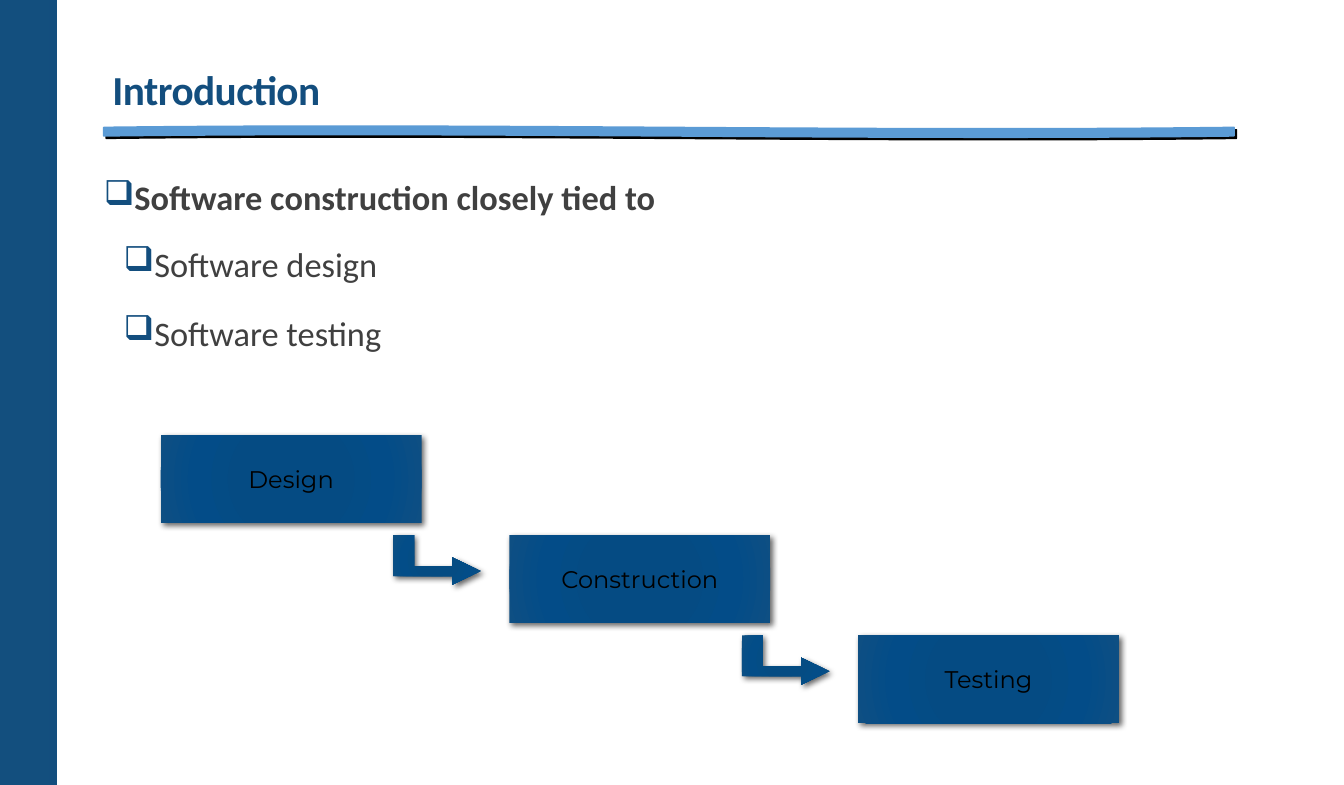
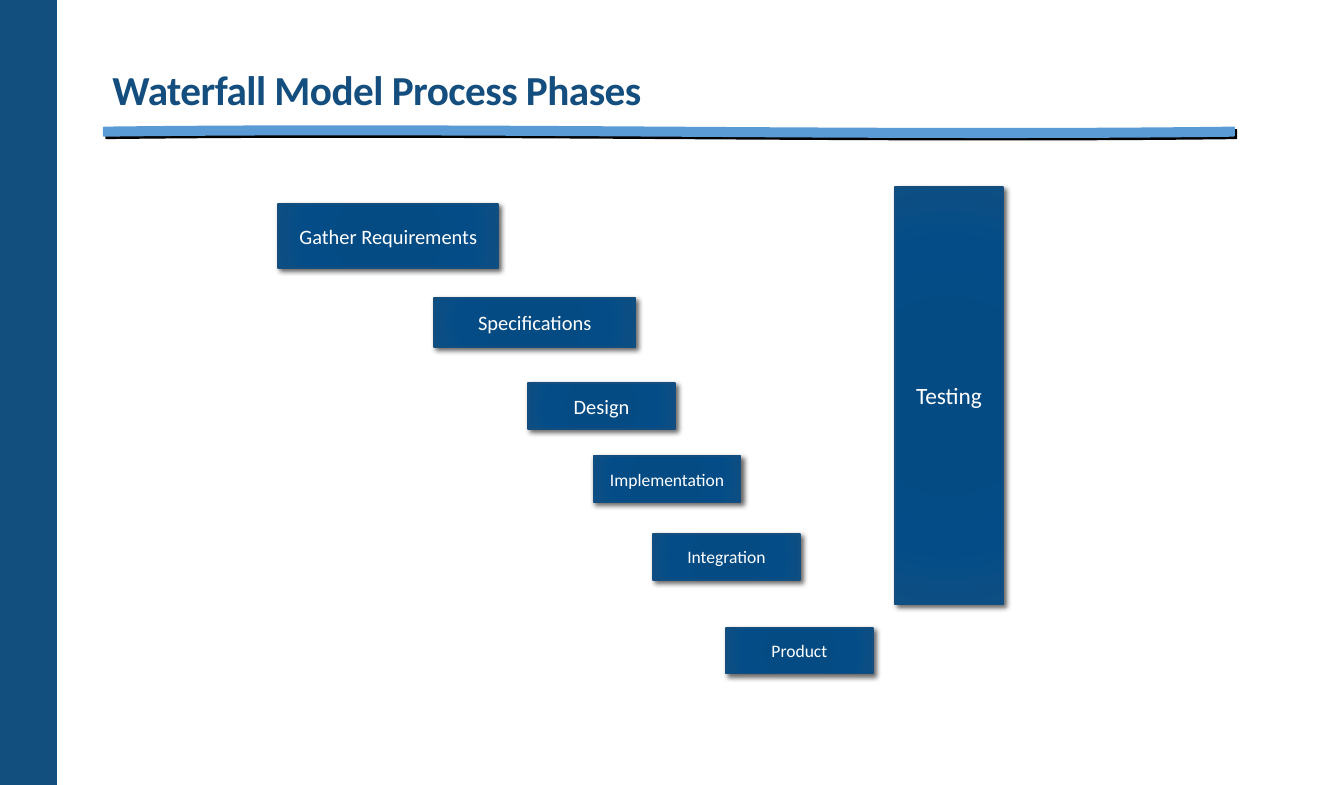
from dataclasses import dataclass
from typing import Optional

from lxml import etree
from pptx import Presentation
from pptx.dml.color import RGBColor
from pptx.enum import shapes, text
from pptx.oxml import ns, parse_xml
from pptx.util import Inches, Pt


@dataclass(frozen=True)
class Theme:
    navy: str = "134E7E"
    band: str = "134F7E"
    rule: str = "5B9BD5"
    body: str = "404040"
    black: str = "000000"
    white: str = "FFFFFF"
    box_stops: tuple = ((0, "034A84"), (34, "054B83"), (70, "034C88"), (100, "0E4F83"))
    arrow_stops: tuple = ((0, "034B84"), (34, "054C83"), (70, "034D88"), (100, "0E5083"))
    font: str = "Calibri"
    diagram_font: str = "Montserrat"
    title_size: float = 24
    body_size: float = 20
    diagram_size: float = 14
    testing_size: float = 13.6
    phase_size: float = 11.9
    small_size: float = 10.2


THEME = Theme()
WIDTH, HEIGHT = 10.87, 6.35


@dataclass(frozen=True)
class Bullet:
    label: str
    level: int = 0
    bold: bool = False
    left: float = 0.3
    hanging: float = 0.14
    before: float = 1.4
    after: float = 2.8


@dataclass(frozen=True)
class Phase:
    label: str
    left: float
    top: float
    width: float
    height: float
    size: float


BULLETS = (
    Bullet("Software construction closely tied to", bold=True,
           left=0.07, hanging=0.07, before=0, after=1.4),
    Bullet("Software design", level=1),
    Bullet("Software testing", level=1),
)
STAGES = ("Design", "Construction", "Testing")
STAGE_LEFT, STAGE_TOP = 1.3, 3.52
STAGE_STEP_X, STAGE_STEP_Y = 2.82, 0.81
STAGE_WIDTH, STAGE_HEIGHT = 2.11, 0.71
ELBOW = ((0.71, 0.29), (0.48, 0.18), (0.48, 0.25), (0.17, 0.25), (0.17, 0),
         (0, 0), (0, 0.33), (0.48, 0.33), (0.48, 0.4))
PHASES = (
    Phase("Gather Requirements", 2.25, 1.65, 1.78, 0.52, THEME.phase_size),
    Phase("Specifications", 3.51, 2.41, 1.63, 0.4, THEME.phase_size),
    Phase("Design", 4.27, 3.1, 1.19, 0.37, THEME.phase_size),
    Phase("Implementation", 4.8, 3.69, 1.19, 0.37, THEME.small_size),
    Phase("Integration", 5.28, 4.32, 1.19, 0.37, THEME.small_size),
    Phase("Product", 5.87, 5.08, 1.19, 0.37, THEME.small_size),
    Phase("Testing", 7.24, 1.51, 0.87, 3.38, THEME.testing_size),
)


def rgb(color: str) -> RGBColor:
    return RGBColor.from_string(color)


def write(para, label: str, *, size: float, color: str, font: str = THEME.font,
          bold: bool = False, spacing: float = 0) -> None:
    span = para.add_run()
    span.text = label
    span.font.size = Pt(size)
    span.font.name = font
    span.font.bold = bold
    span.font.color.rgb = rgb(color)
    if spacing:
        span.font._element.set("spc", str(round(spacing * 100)))


def paint(shape, color: str, line: Optional[str] = None) -> None:
    shape.shadow.inherit = False
    shape.fill.solid()
    shape.fill.fore_color.rgb = rgb(color)
    if line:
        shape.line.color.rgb = rgb(line)
        shape.line.width = Pt(1)
    else:
        shape.line.fill.background()


def add_shadow(shape, blur: float, opacity: int = 60) -> None:
    effects = shape._element.spPr.find(ns.qn("a:effectLst"))
    effects.append(parse_xml(
        f'<a:outerShdw {ns.nsdecls("a")} blurRad="{Pt(blur)}" dist="{Pt(2)}" '
        f'dir="2700000" algn="tl" rotWithShape="0"><a:srgbClr val="{THEME.black}">'
        f'<a:alpha val="{opacity * 1000}"/></a:srgbClr></a:outerShdw>'))


def add_glow_fill(shape, stops: tuple) -> None:
    marks = "".join(f'<a:gs pos="{place * 1000}"><a:srgbClr val="{color}"/></a:gs>'
                    for place, color in stops)
    gradient = parse_xml(
        f'<a:gradFill {ns.nsdecls("a")} rotWithShape="1"><a:gsLst>{marks}</a:gsLst>'
        '<a:path path="circle"><a:fillToRect l="100000" t="100000" r="100000" '
        'b="100000"/></a:path></a:gradFill>')
    properties = shape._element.spPr
    properties.replace(properties.find(ns.qn("a:solidFill")), gradient)


def add_block(page, kind, left: float, top: float, width: float, height: float,
              color: str, line: Optional[str] = None):
    shape = page.shapes.add_shape(kind, Inches(left), Inches(top),
                                  Inches(width), Inches(height))
    paint(shape, color, line)
    return shape


def add_text_box(page, left: float, top: float, width: float, height: float,
                 side: float):
    box = page.shapes.add_textbox(Inches(left), Inches(top),
                                  Inches(width), Inches(height))
    frame = box.text_frame
    frame.word_wrap = True
    frame.margin_left = frame.margin_right = Inches(side)
    frame.margin_top = frame.margin_bottom = Inches(0.04)
    return frame


def add_page(deck, title: str):
    page = deck.slides.add_slide(deck.slide_layouts[6])
    rectangle = shapes.MSO_SHAPE.RECTANGLE
    add_block(page, rectangle, 0, 0, 0.41, HEIGHT, THEME.band)
    add_block(page, rectangle, 0.4, 0, 0.06, HEIGHT, THEME.navy)
    rule = add_block(page, shapes.MSO_SHAPE.WAVE, 0.84, 1.02, 9.14, 0.09,
                     THEME.rule, THEME.rule)
    add_shadow(rule, 0, opacity=100)
    frame = add_text_box(page, 0.84, 0.03, 8.97, 0.93, 0.07)
    frame.vertical_anchor = text.MSO_ANCHOR.BOTTOM
    para = frame.paragraphs[0]
    para.line_spacing = 0.85
    write(para, title, size=THEME.title_size, color=THEME.navy, bold=True, spacing=-0.3)
    return page


def add_bullets(page) -> None:
    frame = add_text_box(page, 0.84, 1.22, 8.69, 4.79, 0)
    for index, bullet in enumerate(BULLETS):
        para = frame.add_paragraph() if index else frame.paragraphs[0]
        para.level = bullet.level
        properties = para._p.get_or_add_pPr()
        properties.set("marL", str(Inches(bullet.left)))
        properties.set("indent", str(-Inches(bullet.hanging)))
        color = etree.SubElement(properties, ns.qn("a:buClr"))
        etree.SubElement(color, ns.qn("a:srgbClr"), val=THEME.navy)
        etree.SubElement(properties, ns.qn("a:buChar"), char="❑")
        para.line_spacing = 1.5
        para.space_before = Pt(bullet.before)
        para.space_after = Pt(bullet.after)
        write(para, bullet.label, size=THEME.body_size, color=THEME.body,
              bold=bullet.bold)


def add_phase(page, phase: Phase, *, color: str = THEME.white, font: str = THEME.font,
              line: Optional[str] = THEME.navy, blur: float = 3,
              wrap: bool = True) -> None:
    box = add_block(page, shapes.MSO_SHAPE.RECTANGLE, phase.left, phase.top,
                    phase.width, phase.height, THEME.navy, line)
    add_glow_fill(box, THEME.box_stops)
    add_shadow(box, blur)
    frame = box.text_frame
    frame.word_wrap = wrap
    frame.vertical_anchor = text.MSO_ANCHOR.MIDDLE
    para = frame.paragraphs[0]
    para.alignment = text.PP_ALIGN.CENTER
    write(para, phase.label, size=phase.size, color=color, font=font)


def add_elbow_arrow(page, left: float, top: float) -> None:
    points = [(Inches(left + x), Inches(top + y)) for x, y in ELBOW]
    builder = page.shapes.build_freeform(*points[0])
    builder.add_line_segments(points[1:], close=True)
    arrow = builder.convert_to_shape()
    paint(arrow, THEME.navy)
    add_glow_fill(arrow, THEME.arrow_stops)
    add_shadow(arrow, 3.5)


def add_introduction(deck) -> None:
    page = add_page(deck, "Introduction")
    add_bullets(page)
    for index, label in enumerate(STAGES):
        left = STAGE_LEFT + index * STAGE_STEP_X
        top = STAGE_TOP + index * STAGE_STEP_Y
        stage = Phase(label, left, top, STAGE_WIDTH, STAGE_HEIGHT, THEME.diagram_size)
        add_phase(page, stage, color=THEME.black, font=THEME.diagram_font,
                  line=None, blur=3.5, wrap=False)
        if index < len(STAGES) - 1:
            add_elbow_arrow(page, left + 1.88, top + STAGE_STEP_Y)


def add_waterfall(deck) -> None:
    page = add_page(deck, "Waterfall Model Process Phases")
    for phase in PHASES:
        add_phase(page, phase)


def main() -> None:
    deck = Presentation()
    deck.slide_width, deck.slide_height = Inches(WIDTH), Inches(HEIGHT)
    add_introduction(deck)
    add_waterfall(deck)
    deck.save("out.pptx")


if __name__ == "__main__":
    main()
